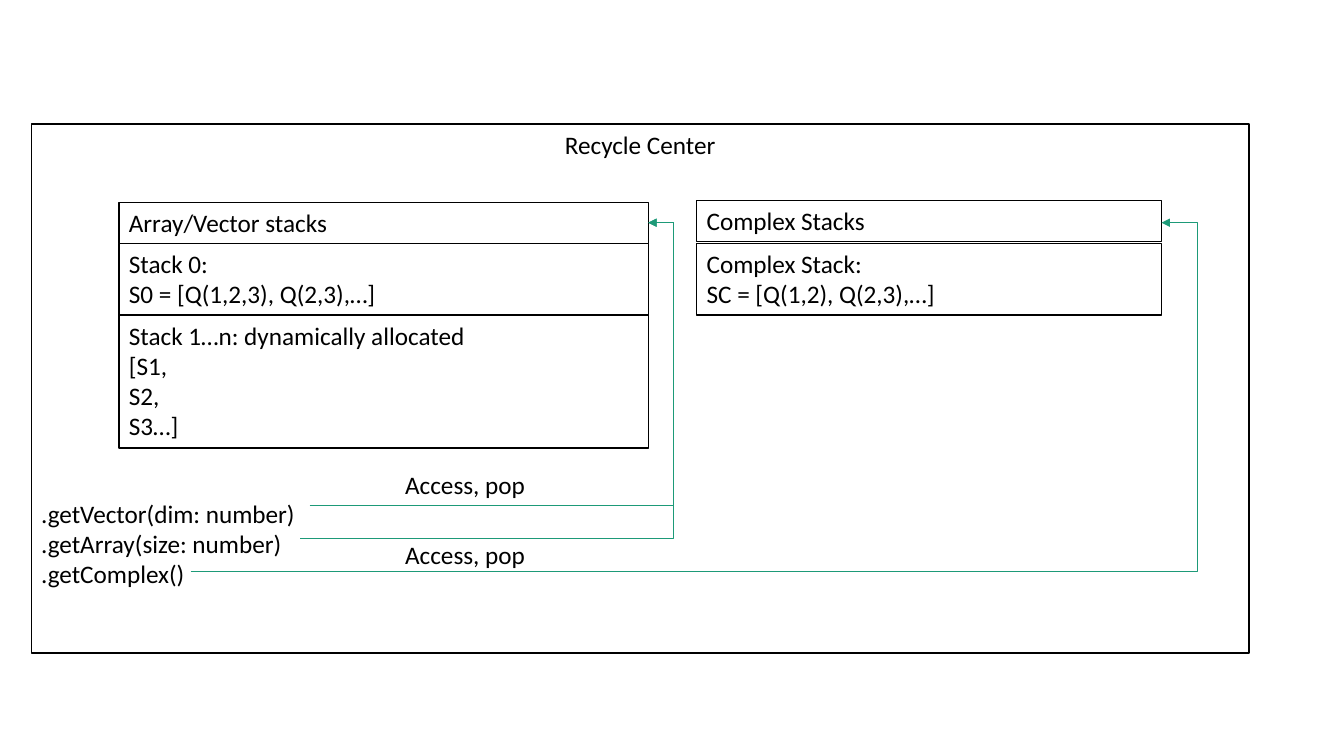
from collections import namedtuple
from dataclasses import dataclass

from lxml import etree
from pptx import Presentation
from pptx import util as u
from pptx.dml.color import RGBColor
from pptx.enum import shapes, text
from pptx.oxml import ns

Box = namedtuple("Box", "left top width height")


@dataclass(frozen=True)
class Theme:
    """Colours, type and line sizes of the diagram."""
    font: str = "Calibri"
    size: float = 18
    ink: RGBColor = RGBColor(0, 0, 0)
    paper: RGBColor = RGBColor(255, 255, 255)
    arrow: RGBColor = RGBColor(0x1D, 0x9A, 0x78)
    border: float = 1
    arrow_width: float = 0.5
    line_height: float = 0.305
    padding: float = 0.1


THEME = Theme()


def write(shape, lines):
    """Fill a shape with left-aligned lines from its top."""
    frame = shape.text_frame
    frame.word_wrap = True
    frame.vertical_anchor = text.MSO_ANCHOR.TOP
    frame.text = "\n".join(lines)
    for paragraph in frame.paragraphs:
        paragraph.alignment = text.PP_ALIGN.LEFT
        paragraph.font.name = THEME.font
        paragraph.font.size = u.Pt(THEME.size)
        paragraph.font.color.rgb = THEME.ink
    return frame.paragraphs


def add_panel(slide, box, lines):
    """Draw a bordered rectangle with text and return its paragraphs."""
    panel = slide.shapes.add_shape(shapes.MSO_SHAPE.RECTANGLE, *map(u.Inches, box))
    panel.shadow.inherit = False
    panel.fill.solid()
    panel.fill.fore_color.rgb = THEME.paper
    panel.line.color.rgb = THEME.ink
    panel.line.width = u.Pt(THEME.border)
    return write(panel, lines)


def add_center(slide, box, title, methods):
    """Draw the outer frame with its title and its methods below."""
    paragraphs = add_panel(slide, box, [title, *methods])
    paragraphs[0].alignment = text.PP_ALIGN.CENTER
    paragraphs[1].space_before = u.Pt(242)


def add_stacks(slide, left, top, width, cells, gap=0):
    """Pile up cells whose heights follow their line counts."""
    for lines in cells:
        height = THEME.padding + THEME.line_height * len(lines)
        add_panel(slide, Box(left, top, width, height), lines)
        top += height + gap


def add_access(slide, start, end, bend):
    """Draw an elbow arrow that turns at the horizontal position bend."""
    arrow = slide.shapes.add_connector(
        shapes.MSO_CONNECTOR.ELBOW, *map(u.Inches, (*start, *end)))
    arrow.line.color.rgb = THEME.arrow
    arrow.line.width = u.Pt(THEME.arrow_width)
    properties = arrow.element.spPr
    etree.SubElement(properties.find(ns.qn("a:ln")), ns.qn("a:tailEnd"), type="triangle")
    etree.SubElement(properties, ns.qn("a:effectLst"))
    share = round(100000 * (bend - start[0]) / (end[0] - start[0]))
    guides = properties.find(ns.qn("a:prstGeom")).find(ns.qn("a:avLst"))
    etree.SubElement(guides, ns.qn("a:gd"), name="adj1", fmla=f"val {share}")


def add_label(slide, box, line):
    """Place a line of text without a border."""
    write(slide.shapes.add_textbox(*map(u.Inches, box)), [line])


def add_recycle_diagram(slide, box):
    """Lay out the stacks, methods and access arrows inside the box."""
    add_center(slide, box, "Recycle Center",
               [".getVector(dim: number)", ".getArray(size: number)", ".getComplex()"])

    vectors_left, vectors_width = box.left + 0.87, 5.25
    complex_left, complex_width = box.left + 6.6, 4.61
    add_stacks(slide, vectors_left, box.top + 0.78, vectors_width, [
        ["Array/Vector stacks"],
        ["Stack 0:", "S0 = [Q(1,2,3), Q(2,3),…]"],
        ["Stack 1…n: dynamically allocated", "[S1,", "S2,", "S3…]"],
    ])
    add_stacks(slide, complex_left, box.top + 0.76, complex_width, [
        ["Complex Stacks"],
        ["Complex Stack:", "SC = [Q(1,2), Q(2,3),…]"],
    ], gap=0.02)

    vectors_right = vectors_left + vectors_width
    complex_right = complex_left + complex_width
    accesses = [(2.76, vectors_right, 0.25), (2.67, vectors_right, 0.25),
                (1.58, complex_right, 0.36)]
    for row, (indent, target, overshoot) in enumerate(accesses):
        start = box.left + indent, box.top + 3.78 + 0.33 * row
        add_access(slide, start, (target, box.top + 0.98), target + overshoot)
    for offset in (3.38, 4.07):
        add_label(slide, Box(box.left + 3.61, box.top + offset, 1.83, 0.4), "Access, pop")


def main():
    """Build and save the presentation."""
    presentation = Presentation()
    presentation.slide_width = u.Inches(13.33)
    presentation.slide_height = u.Inches(7.5)
    slide = presentation.slides.add_slide(presentation.slide_layouts[6])
    add_recycle_diagram(slide, Box(0.31, 1.23, 12.08, 5.25))
    presentation.save("out.pptx")


if __name__ == "__main__":
    main()
